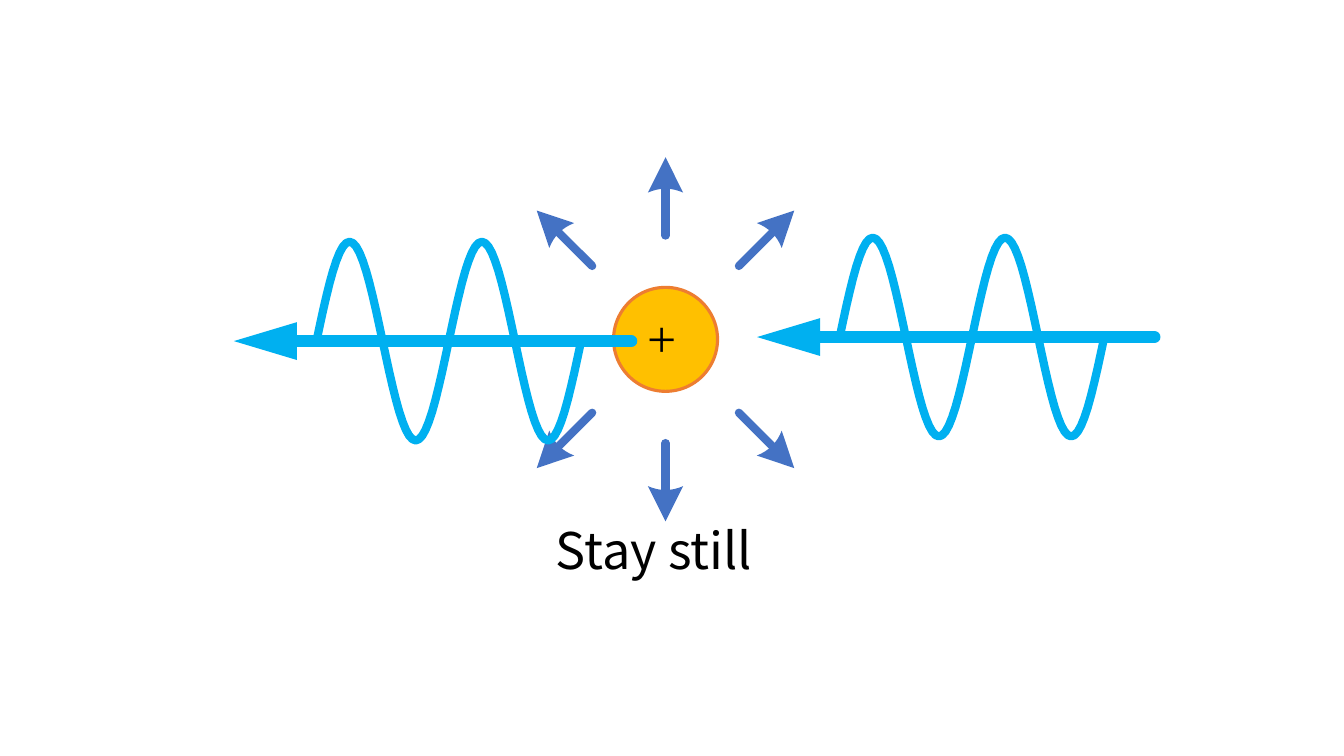
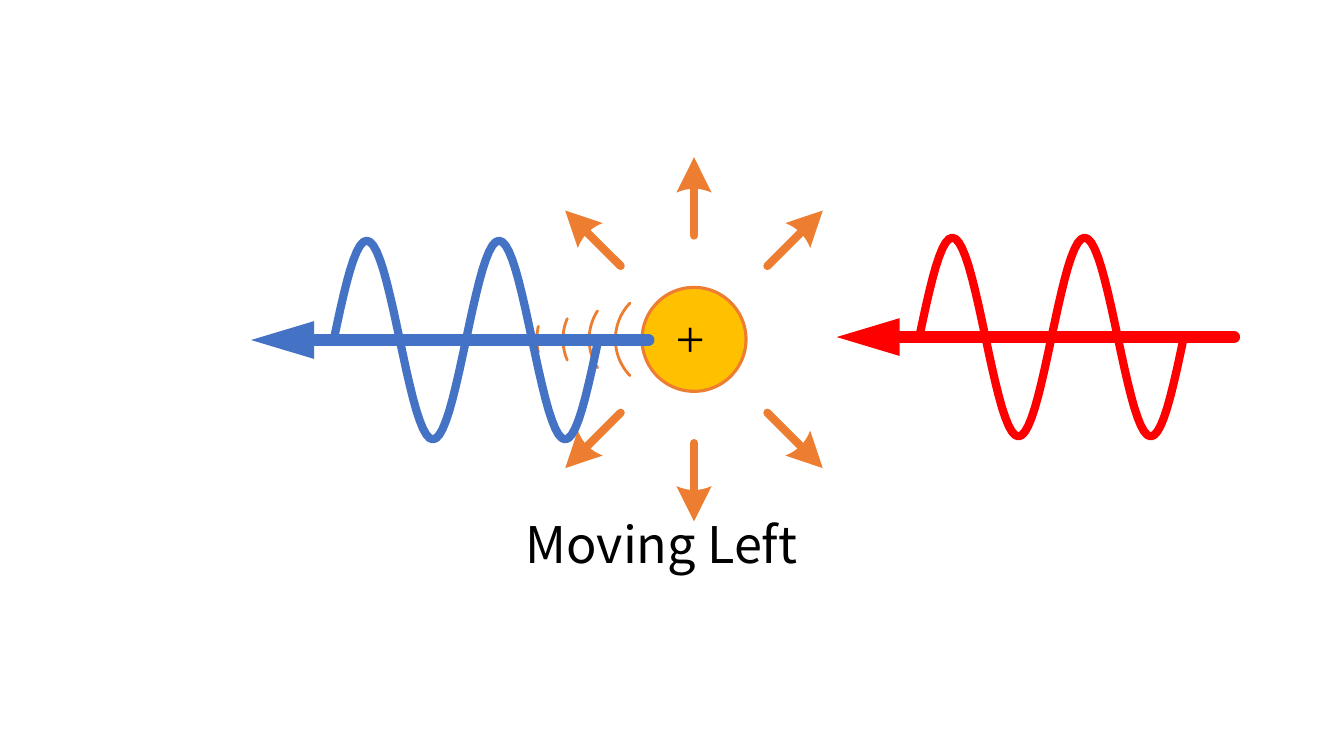
from dataclasses import dataclass
from math import asin, cos, pi, radians, sin

from lxml import etree
from pptx import Presentation
from pptx.dml.color import RGBColor
from pptx.enum.shapes import MSO_CONNECTOR, MSO_SHAPE
from pptx.enum.text import MSO_ANCHOR, MSO_AUTO_SIZE, PP_ALIGN
from pptx.oxml.ns import qn
from pptx.util import Emu, Pt

STRAIGHT = MSO_CONNECTOR.STRAIGHT
OVAL = MSO_SHAPE.OVAL
TOP = MSO_ANCHOR.TOP
LEFT = PP_ALIGN.LEFT
FIXED_SIZE = MSO_AUTO_SIZE.NONE

SLIDE_WIDTH = Emu(12192000)
SLIDE_HEIGHT = Emu(6858000)
COLUMNS = 100
CELL = SLIDE_WIDTH / COLUMNS

BLACK = "000000"
GOLD = "FFC000"
ORANGE = "ED7D31"
BLUE = "4472C4"
SKY = "00B0F0"
RED = "FF0000"

CAPTION_FONT = "Noto Sans CJK SC"
SYMBOL_FONT = "Times New Roman"
THICK = 5.88
AXIS_THICKNESS = 9

STAR_ROW = 25.25
STAR_RADIUS = 3.87
RAY_ANGLES = (45, 90, 135, 225, 270, 315)
RAY_START, RAY_END = 7.72, 11.55
HEAD_BASE, HEAD_TIP = 10.92, 13.55
HEAD_HALF_WIDTH, HEAD_NOTCH = 1.31, 0.29

AXIS_LENGTH = 29.55
WAVE_INSET = 6.15
WAVE_LENGTH = 19.69
WAVE_HEIGHT = 7.39
WAVE_CYCLES = 2
WAVE_STEPS = 80

RIPPLE_RADIUS = 3.9
RIPPLE_STEP = 1.95
RIPPLE_REACH, RIPPLE_SHRINK = 2.7, 0.58

Point = tuple[float, float]


@dataclass
class Wave:
    tip_column: float
    row: float
    color: str


@dataclass
class Scene:
    caption: str
    caption_column: float
    caption_row: float
    caption_width: float
    star_column: float
    ray_color: str
    waves: tuple[Wave, ...]
    ripples: int = 0


SCENES = (
    Scene("Stay still", 40.6, 38.28, 17.5, 49.52, BLUE,
          (Wave(56.33, 25.08, SKY), Wave(17.4, 25.38, SKY))),
    Scene("Moving Left", 38.35, 37.76, 23.33, 51.64, ORANGE,
          (Wave(62.25, 25.08, RED), Wave(18.68, 25.3, BLUE)), ripples=4),
)


def cells(count: float) -> Emu:
    return Emu(round(count * CELL))


def rgb(color: str) -> RGBColor:
    return RGBColor.from_string(color)


def place(shape, column: float, row: float, width: float, height: float) -> None:
    shape.left, shape.top = cells(column), cells(row)
    shape.width, shape.height = cells(width), cells(height)


def style_line(shape, color: str, width: float) -> None:
    shape.line.color.rgb = rgb(color)
    shape.line.width = Pt(width)
    outline = shape.line._get_or_add_ln()
    outline.set("cap", "rnd")
    etree.SubElement(outline, qn("a:round"))


def write_text(box, text: str, *, font: str, size: float, color: str,
               inset: Point = (0, 0), wrap: bool = True) -> None:
    frame = box.text_frame
    frame.word_wrap = wrap
    frame.auto_size = FIXED_SIZE
    frame.vertical_anchor = TOP
    frame.margin_left = frame.margin_right = cells(inset[0])
    frame.margin_top = frame.margin_bottom = cells(inset[1])
    para = frame.paragraphs[0]
    para.alignment = LEFT
    span = para.add_run()
    span.text = text
    span.font.name = font
    span.font.size = Pt(size)
    span.font.color.rgb = rgb(color)


def draw_outline(page, points: list[Point], closed: bool = False):
    corners = [(cells(column), cells(row)) for column, row in points]
    builder = page.shapes.build_freeform(*corners[0])
    builder.add_line_segments(corners[1:], close=closed)
    shape = builder.convert_to_shape()
    shape.shadow.inherit = False
    return shape


def draw_curve(page, points: list[Point], color: str, width: float) -> None:
    curve = draw_outline(page, points)
    curve.fill.background()
    style_line(curve, color, width)


def draw_line(page, start: Point, end: Point, color: str, width: float):
    ends = [cells(value) for value in (*start, *end)]
    line = page.shapes.add_connector(STRAIGHT, *ends)
    style_line(line, color, width)
    etree.SubElement(line._element.spPr, qn("a:effectLst"))
    return line


def draw_ray(page, center: Point, degrees: float, color: str) -> None:
    along = (cos(radians(degrees)), -sin(radians(degrees)))

    def at(distance: float, side: float = 0) -> Point:
        return (center[0] + distance * along[0] - side * along[1],
                center[1] + distance * along[1] + side * along[0])

    draw_line(page, at(RAY_START), at(RAY_END), color, THICK)
    shares = [step / 4 for step in range(-4, 5)]
    base = [at(HEAD_BASE + HEAD_NOTCH * (1 - share ** 2), HEAD_HALF_WIDTH * share)
            for share in shares]
    head = draw_outline(page, [at(HEAD_TIP), *base], closed=True)
    head.fill.solid()
    head.fill.fore_color.rgb = rgb(color)
    head.line.fill.background()


def draw_star(page, center: Point, ray_color: str) -> None:
    column, row = center
    star = page.shapes.add_shape(OVAL, 0, 0, 0, 0)
    place(star, column - STAR_RADIUS, row - STAR_RADIUS, 2 * STAR_RADIUS, 2 * STAR_RADIUS)
    star.shadow.inherit = False
    star.fill.solid()
    star.fill.fore_color.rgb = rgb(GOLD)
    style_line(star, ORANGE, 2.25)
    plus = page.shapes.add_textbox(0, 0, 0, 0)
    place(plus, column - 1.37, row - 2.52, 3.98, 4.65)
    write_text(plus, "+", font=SYMBOL_FONT, size=37, color=BLACK)
    for degrees in RAY_ANGLES:
        draw_ray(page, center, degrees, ray_color)


def draw_ripples(page, center: Point, count: int) -> None:
    for index in reversed(range(count)):
        middle = center[0] - RIPPLE_STEP * (index + 1)
        spread = asin((RIPPLE_REACH - RIPPLE_SHRINK * index) / RIPPLE_RADIUS)
        angles = [spread * step / 12 for step in range(-12, 13)]
        points = [(middle - RIPPLE_RADIUS * cos(angle),
                   center[1] + RIPPLE_RADIUS * sin(angle)) for angle in angles]
        draw_curve(page, points, ORANGE, 2)


def draw_wave(page, wave: Wave) -> None:
    start = wave.tip_column + WAVE_INSET
    shares = [step / WAVE_STEPS for step in range(WAVE_STEPS + 1)]
    points = [(start + WAVE_LENGTH * share,
               wave.row - WAVE_HEIGHT * sin(2 * pi * WAVE_CYCLES * share))
              for share in shares]
    draw_curve(page, points, wave.color, THICK)
    axis = draw_line(page, (wave.tip_column + AXIS_LENGTH, wave.row),
                     (wave.tip_column, wave.row), wave.color, AXIS_THICKNESS)
    etree.SubElement(axis.line._get_or_add_ln(), qn("a:tailEnd"),
                     type="triangle", w="med", len="lg")


def build_scene(deck, scene: Scene) -> None:
    page = deck.slides.add_slide(deck.slide_layouts.get_by_name("Title Only"))
    center = (scene.star_column, STAR_ROW)
    draw_ripples(page, center, scene.ripples)
    draw_star(page, center, scene.ray_color)
    for wave in scene.waves:
        draw_wave(page, wave)
    caption = page.shapes.title
    place(caption, scene.caption_column, scene.caption_row, scene.caption_width, 6.15)
    write_text(caption, scene.caption, font=CAPTION_FONT, size=36, color=BLACK,
               inset=(0.75, 0.38))


def main() -> None:
    deck = Presentation()
    deck.slide_width, deck.slide_height = SLIDE_WIDTH, SLIDE_HEIGHT
    for scene in SCENES:
        build_scene(deck, scene)
    deck.save("out.pptx")


main()
